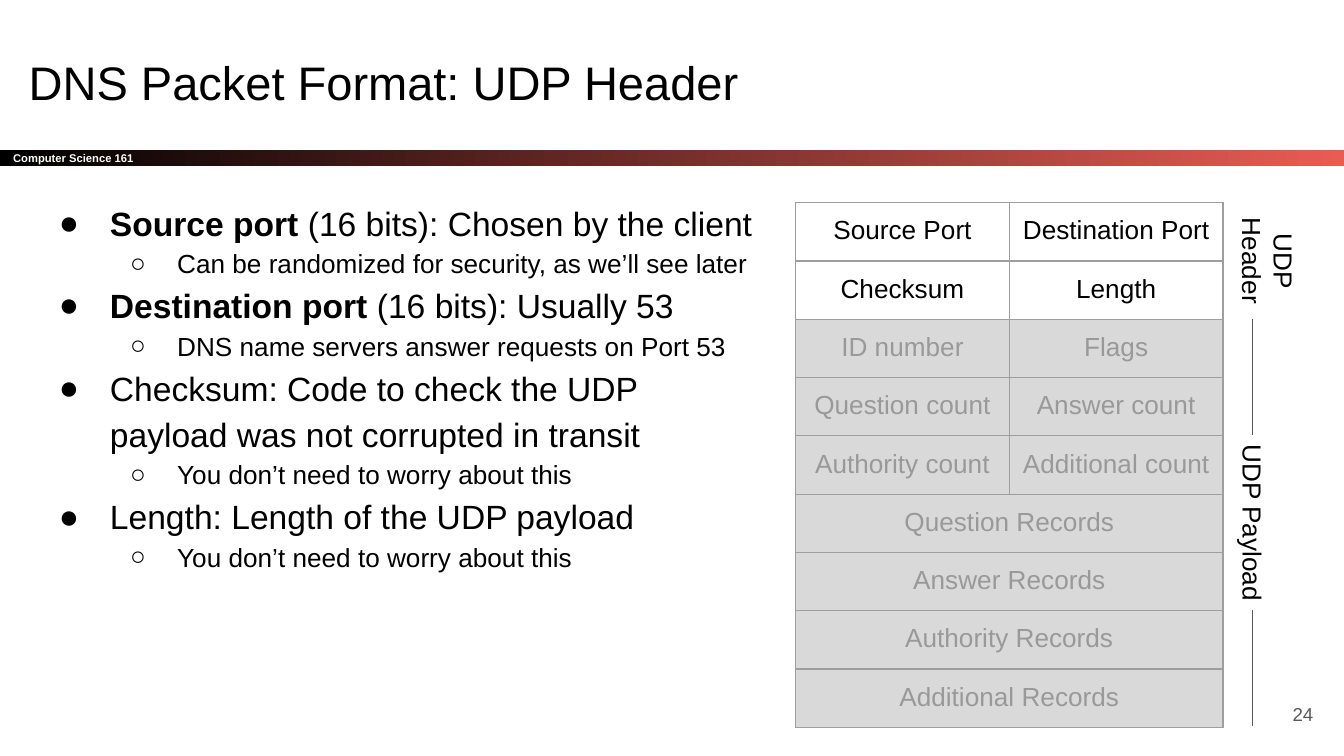
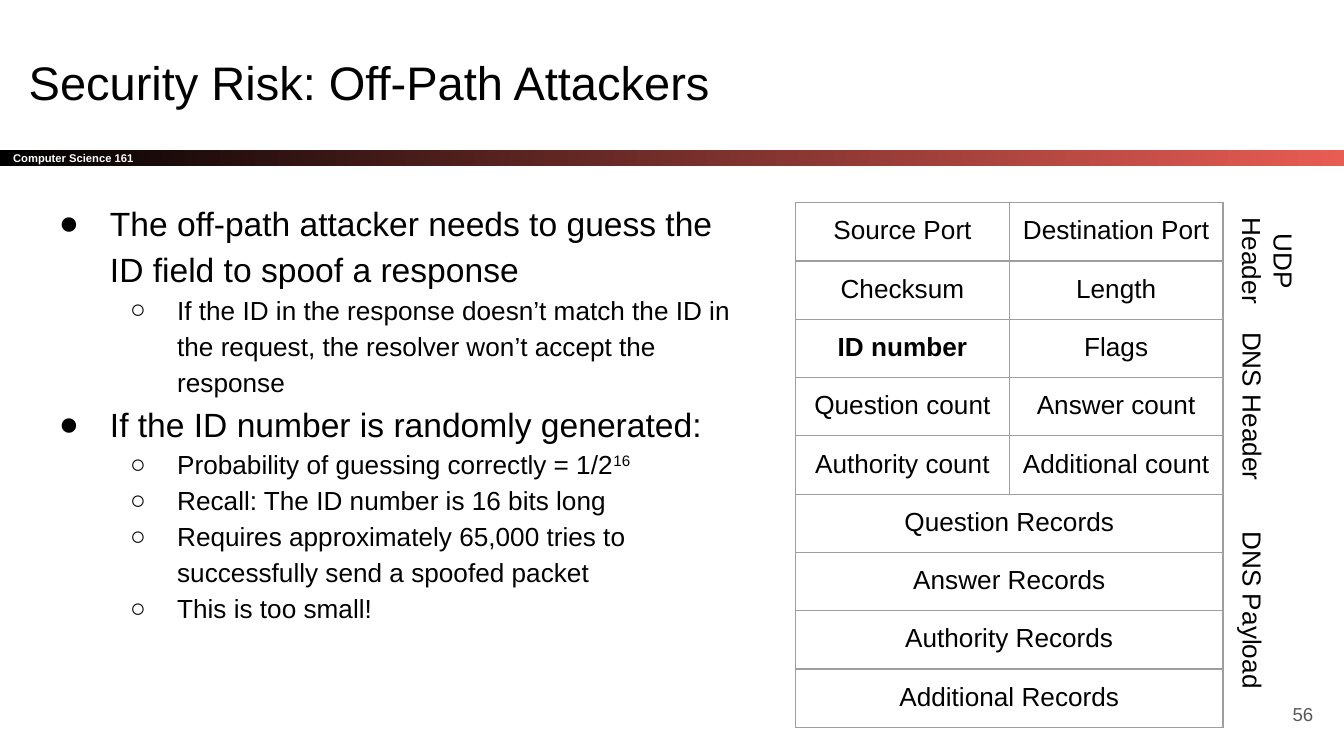
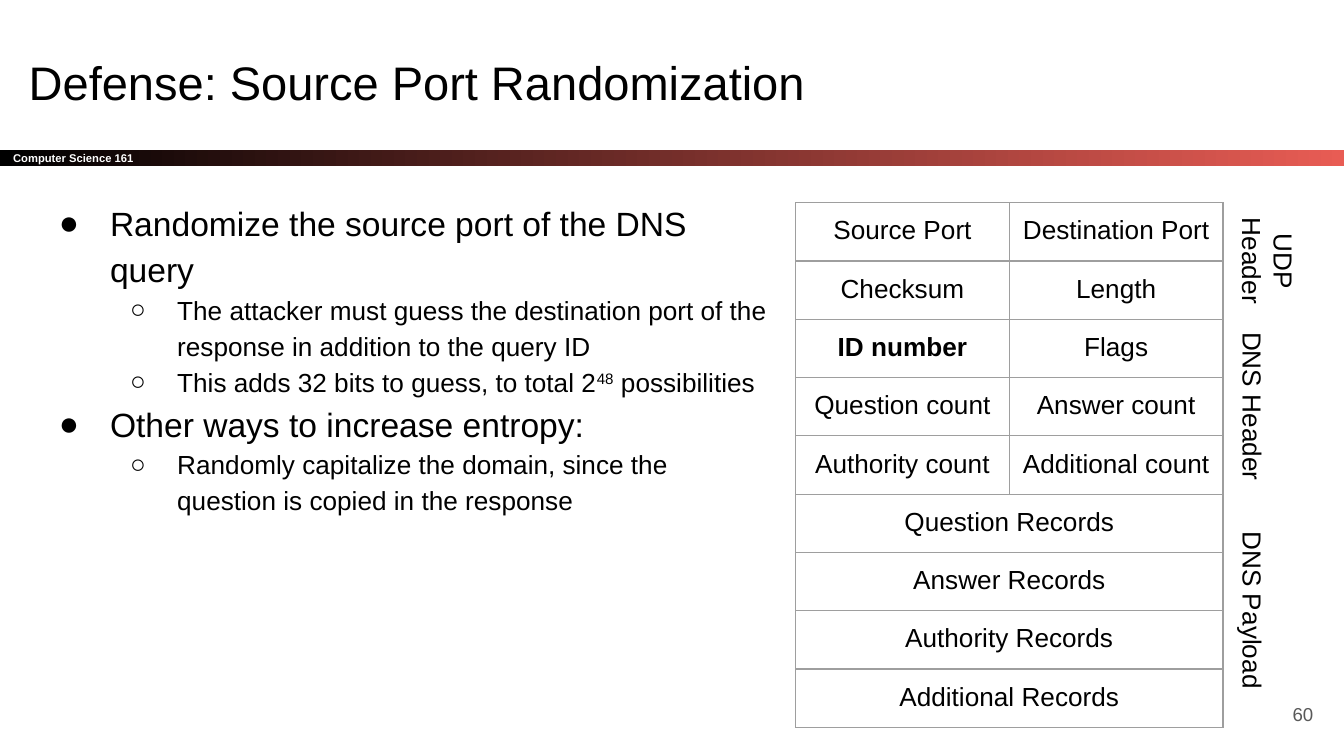
from pptx import Presentation
from pptx.dml.color import RGBColor
from pptx.enum.shapes import MSO_CONNECTOR, MSO_SHAPE
from pptx.enum.text import MSO_ANCHOR as Anchor, MSO_AUTO_SIZE as AutoSize, PP_ALIGN as Align
from pptx.oxml.ns import qn
from pptx.util import Inches, Pt
from lxml.etree import SubElement

BLACK = RGBColor(0x00, 0x00, 0x00)
WHITE = RGBColor(0xFF, 0xFF, 0xFF)
CORAL = RGBColor(0xE8, 0x5C, 0x54)
DARK_GRAY = RGBColor(0x59, 0x59, 0x59)
FADED_TEXT = RGBColor(0x99, 0x99, 0x99)
FADED_FILL = RGBColor(0xD9, 0xD9, 0xD9)
BORDER = RGBColor(0x9E, 0x9E, 0x9E)

FONT = "Arial"
SLIDE_WIDTH, SLIDE_HEIGHT = Inches(10), Inches(5.625)
INSET = Inches(0.1)
CELL_SIDE_INSET = Inches(0.09)
HAIRLINE = Pt(0.75)

# Packet grid, in percent of the slide
GRID_LEFT, GRID_TOP = 59.2, 26.8
COLUMN, ROW = 15.9, 7.7
SIDE_AXIS = 93.2
LABEL_OVERHANG = 0.3

PACKET_FIELDS = [
    ("Source Port", "Destination Port"),
    ("Checksum", "Length"),
    ("ID number", "Flags"),
    ("Question count", "Answer count"),
    ("Authority count", "Additional count"),
    ("Question Records",),
    ("Answer Records",),
    ("Authority Records",),
    ("Additional Records",),
]
UDP_ROWS = 2

# Bullet levels: character, text size, left margin, hanging indent
LEVELS = [
    ("●", 18, Inches(0.5), Inches(-0.38)),
    ("○", 14, Inches(1), Inches(-0.35)),
]


def across(percent):
    return round(SLIDE_WIDTH * percent / 100)


def down(percent):
    return round(SLIDE_HEIGHT * percent / 100)


def row_top(row):
    return down(GRID_TOP + row * ROW)


def style_font(font, size, color=BLACK, bold=False):
    font.name, font.size, font.bold = FONT, Pt(size), bold
    font.color.rgb = color


def set_frame(frame, anchor=Anchor.TOP):
    frame.word_wrap = True
    frame.vertical_anchor = anchor
    frame.margin_left = frame.margin_right = INSET
    frame.margin_top = frame.margin_bottom = INSET


def add_text(slide, bounds, text, size, color=BLACK, align=Align.LEFT, anchor=Anchor.TOP):
    box = slide.shapes.add_textbox(*bounds)
    set_frame(box.text_frame, anchor)
    box.text_frame.text = text
    para = box.text_frame.paragraphs[0]
    para.alignment = align
    style_font(para.runs[0].font, size, color)
    return box


def add_band(slide):
    band = slide.shapes.add_shape(MSO_SHAPE.RECTANGLE, 0, down(19.8), SLIDE_WIDTH, down(2.13))
    band.shadow.inherit = False
    band.line.fill.background()
    band.fill.gradient()
    band.fill.gradient_angle = 0
    for stop, position, color in zip(band.fill.gradient_stops, (0, 1), (BLACK, CORAL)):
        stop.position, stop.color.rgb = position, color
    set_frame(band.text_frame, Anchor.MIDDLE)
    band.text_frame.text = "Computer Science 161"
    para = band.text_frame.paragraphs[0]
    para.alignment = Align.LEFT
    style_font(para.runs[0].font, 6, WHITE, bold=True)


def add_bullet(para, level):
    character, _, margin, indent = LEVELS[level]
    properties = para._p.get_or_add_pPr()
    properties.set("marL", str(margin))
    properties.set("indent", str(indent))
    color = SubElement(properties, qn("a:buClr"))
    SubElement(color, qn("a:srgbClr"), val=str(BLACK))
    SubElement(properties, qn("a:buFont"), typeface=FONT)
    SubElement(properties, qn("a:buChar"), char=character)
    para.level = level
    para.line_spacing = 1.15


def add_bullets(slide, items, width):
    """Each item is a level followed by spans: plain text or (text, "bold" or "super")."""
    box = slide.shapes.add_textbox(across(2.2), down(24.25), across(width), down(73.24))
    frame = box.text_frame
    set_frame(frame)
    for index, (level, *spans) in enumerate(items):
        para = frame.paragraphs[0] if index == 0 else frame.add_paragraph()
        add_bullet(para, level)
        for span in spans:
            text, style = (span, None) if isinstance(span, str) else span
            run = para.add_run()
            run.text = text
            style_font(run.font, LEVELS[level][1], bold=style == "bold")
            if style == "super":
                run._r.get_or_add_rPr().set("baseline", "30000")


def add_cell_borders(cell):
    properties = cell._tc.get_or_add_tcPr()
    for side in ("lnL", "lnR", "lnT", "lnB"):
        line = SubElement(properties, qn(f"a:{side}"), w=str(HAIRLINE))
        fill = SubElement(line, qn("a:solidFill"))
        SubElement(fill, qn("a:srgbClr"), val=str(BORDER))


def add_packet_table(slide, bold_field=None, faded_from=len(PACKET_FIELDS)):
    """Draw the packet layout, graying out the rows from faded_from on."""
    count = len(PACKET_FIELDS)
    table = slide.shapes.add_table(
        count, 2, across(GRID_LEFT), row_top(0), across(2 * COLUMN), down(count * ROW)
    ).table
    table.first_row = table.horz_banding = False
    for column in table.columns:
        column.width = across(COLUMN)
    for row, fields in enumerate(PACKET_FIELDS):
        table.rows[row].height = down(ROW)
        faded = row >= faded_from
        for cell in table.rows[row].cells:
            add_cell_borders(cell)
            if faded:
                cell.fill.solid()
                cell.fill.fore_color.rgb = FADED_FILL
            else:
                cell.fill.background()
        if len(fields) == 1:
            table.cell(row, 0).merge(table.cell(row, 1))
        for column, field in enumerate(fields):
            cell = table.cell(row, column)
            cell.margin_left = cell.margin_right = CELL_SIDE_INSET
            cell.margin_top = cell.margin_bottom = INSET
            cell.text = field
            para = cell.text_frame.paragraphs[0]
            para.alignment = Align.CENTER
            color = FADED_TEXT if faded else BLACK
            style_font(para.runs[0].font, 14, color, field == bold_field)


def add_side_label(slide, text, first_row, rows, axis=SIDE_AXIS, thickness=7.8):
    """Turn a label by 90 degrees and center it along the given packet rows."""
    length, height = down(rows * ROW + LABEL_OVERHANG), down(thickness)
    left = across(axis) - length // 2
    top = row_top(first_row + rows / 2) - height // 2
    label = add_text(slide, (left, top, length, height), text, 14, align=Align.CENTER)
    label.text_frame.auto_size = AutoSize.SHAPE_TO_FIT_TEXT
    label.rotation = 90


def add_side_line(slide, first_row, last_row):
    x = across(SIDE_AXIS)
    line = slide.shapes.add_connector(
        MSO_CONNECTOR.STRAIGHT, x, row_top(first_row), x, row_top(last_row)
    )
    line.line.color.rgb = DARK_GRAY
    line.line.width = HAIRLINE
    SubElement(line._element.spPr, qn("a:effectLst"))


def add_page(deck, title, number, items, body_width=55):
    """Add a slide with everything that all pages share."""
    slide = deck.slides.add_slide(deck.slide_layouts[6])
    add_band(slide)
    add_text(slide, (across(1.15), down(5.33), across(93.2), down(11.2)), title, 25.2)
    add_bullets(slide, items, body_width)
    add_text(slide, (across(92.7), down(90.67), across(6), down(7.64)), str(number), 10,
             DARK_GRAY, Align.RIGHT, Anchor.MIDDLE)
    add_side_label(slide, "UDP Header", 0, UDP_ROWS, axis=94.35, thickness=11.9)
    return slide


def add_dns_packet(slide):
    add_packet_table(slide, bold_field="ID number")
    add_side_label(slide, "DNS Header", UDP_ROWS, 3)
    add_side_label(slide, "DNS Payload", 5, 4)


def main():
    deck = Presentation()
    deck.slide_width, deck.slide_height = SLIDE_WIDTH, SLIDE_HEIGHT

    header_page = add_page(deck, "DNS Packet Format: UDP Header", 24, [
        (0, ("Source port ", "bold"), "(16 bits): Chosen by the client"),
        (1, "Can be randomized for security, as we’ll see later"),
        (0, ("Destination port ", "bold"), "(16 bits): Usually 53"),
        (1, "DNS name servers answer requests on Port 53"),
        (0, "Checksum: Code to check the UDP payload was not corrupted in transit"),
        (1, "You don’t need to worry about this"),
        (0, "Length: Length of the UDP payload"),
        (1, "You don’t need to worry about this"),
    ])
    add_packet_table(header_page, faded_from=UDP_ROWS)
    add_side_label(header_page, "UDP Payload", UDP_ROWS, 7)
    add_side_line(header_page, 2, 4)
    add_side_line(header_page, 7, 9)

    risk_page = add_page(deck, "Security Risk: Off-Path Attackers", 56, [
        (0, "The off-path attacker needs to guess the ID field to spoof a response"),
        (1, "If the ID in the response doesn’t match the ID in the request, "
            "the resolver won’t accept the response"),
        (0, "If the ID number is randomly generated:"),
        (1, "Probability of guessing correctly = 1/2", ("16", "super")),
        (1, "Recall: The ID number is 16 bits long"),
        (1, "Requires approximately 65,000 tries to successfully send a spoofed packet"),
        (1, "This is too small!"),
    ])
    add_dns_packet(risk_page)

    defense_page = add_page(deck, "Defense: Source Port Randomization", 60, [
        (0, "Randomize the source port of the DNS query"),
        (1, "The attacker must guess the destination port of the response "
            "in addition to the query ID"),
        (1, "This adds 32 bits to guess, to total 2", ("48", "super"), " possibilities"),
        (0, "Other ways to increase entropy:"),
        (1, "Randomly capitalize the domain, since the question is copied in the response"),
    ], body_width=56.2)
    add_dns_packet(defense_page)

    deck.save("out.pptx")


if __name__ == "__main__":
    main()
